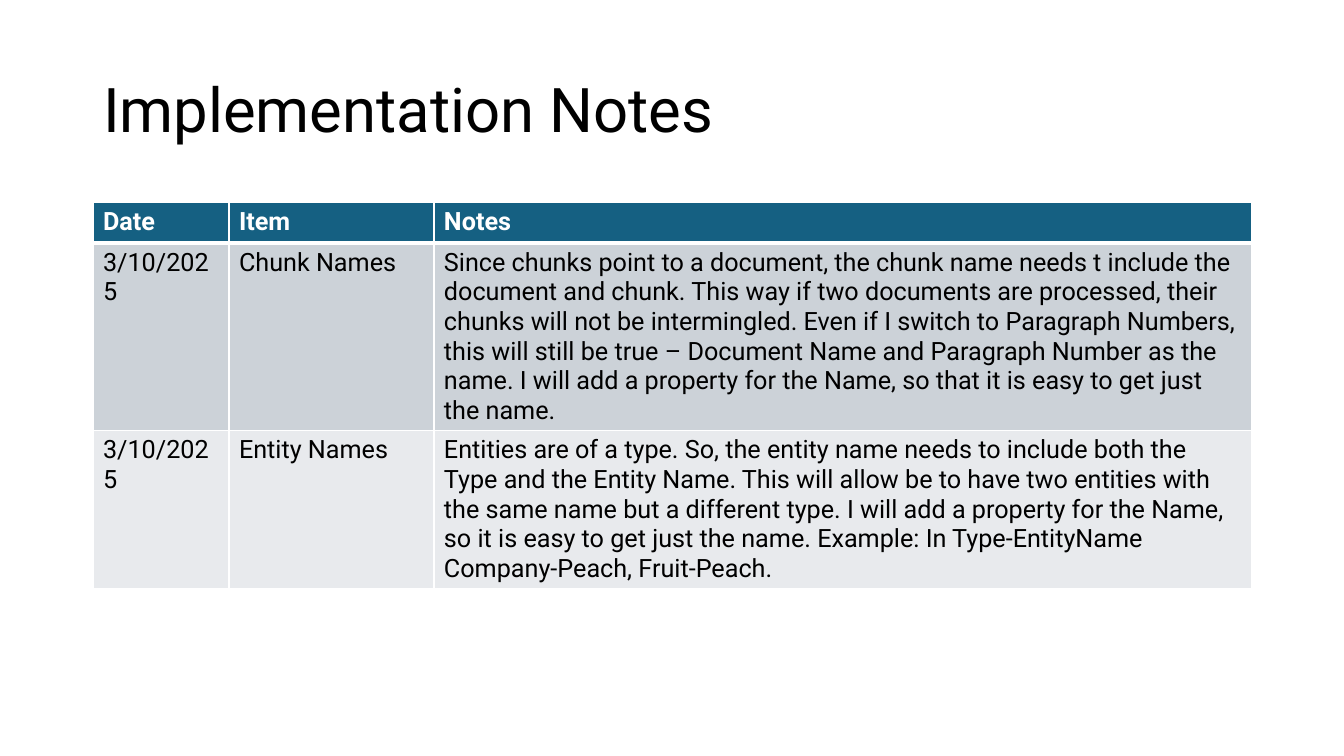
from dataclasses import dataclass

from lxml.etree import SubElement
from pptx import Presentation
from pptx.dml.color import RGBColor
from pptx.enum.text import MSO_ANCHOR, PP_ALIGN
from pptx.oxml.ns import qn
from pptx.util import Emu, Pt

EMU_PER_PX = 914400 / 100.8
FONT = "Roboto"
WHITE, BLACK = "FFFFFF", "000000"
COL_WIDTHS = (136, 205, 818)
ROW_HEIGHT = 41
LEFT, WIDTH = 93, sum(COL_WIDTHS)


@dataclass(frozen=True)
class TableRow:
    cells: tuple[str, str, str]
    fill: str
    color: str = BLACK
    bold: bool = False
    top: int = 1
    bottom: int = 1


ROWS = (
    TableRow(("Date", "Item", "Notes"), "156082", WHITE, bold=True, bottom=3),
    TableRow((
        "3/10/2025",
        "Chunk Names",
        "Since chunks point to a document, the chunk name needs t include the "
        "document and chunk. This way if two documents are processed, their "
        "chunks will not be intermingled. Even if I switch to Paragraph Numbers, "
        "this will still be true – Document Name and Paragraph Number as the "
        "name. I will add a property for the Name, so that it is easy to get "
        "just the name.",
    ), "CCD2D8", top=3),
    TableRow((
        "3/10/2025",
        "Entity Names",
        "Entities are of a type. So, the entity name needs to include both the "
        "Type and the Entity Name. This will allow be to have two entities with "
        "the same name but a different type. I will add a property for the Name, "
        "so it is easy to get just the name. Example: In Type-EntityName "
        "Company-Peach, Fruit-Peach.",
    ), "E8EAED"),
)


def px(n: int) -> Emu:
    return Emu(round(n * EMU_PER_PX))


def rgb(color: str) -> RGBColor:
    return RGBColor.from_string(color)


def set_text(tf, text: str, *, size: int = 18, color: str = BLACK,
             bold: bool = False, spacing: float = 1.0) -> None:
    p = tf.paragraphs[0]
    p.alignment = PP_ALIGN.LEFT
    p.line_spacing = spacing
    r = p.add_run()
    r.text = text
    r.font.name = FONT
    r.font.size = Pt(size)
    r.font.bold = bold
    r.font.color.rgb = rgb(color)


def set_borders(cell, top: int, bottom: int) -> None:
    tc_pr = cell._tc.get_or_add_tcPr()
    for side, width in (("L", 1), ("R", 1), ("T", top), ("B", bottom)):
        ln = SubElement(tc_pr, qn(f"a:ln{side}"), w=str(Pt(width)))
        fill = SubElement(ln, qn("a:solidFill"))
        SubElement(fill, qn("a:srgbClr"), val=WHITE)


def add_title(s, text: str) -> None:
    sp = s.shapes.title
    sp.left, sp.top, sp.width, sp.height = px(LEFT), px(40), px(WIDTH), px(146)
    sp.text_frame.vertical_anchor = MSO_ANCHOR.MIDDLE
    set_text(sp.text_frame, text, size=44, spacing=0.9)


def add_notes_table(s, rows: tuple[TableRow, ...]) -> None:
    frame = s.shapes.add_table(len(rows), len(COL_WIDTHS), px(LEFT), px(202),
                               px(WIDTH), px(ROW_HEIGHT * len(rows)))
    table = frame.table
    for column, width in zip(table.columns, COL_WIDTHS):
        column.width = px(width)
    for table_row, row in zip(table.rows, rows):
        table_row.height = px(ROW_HEIGHT)
        for cell, text in zip(table_row.cells, row.cells):
            set_borders(cell, row.top, row.bottom)
            cell.fill.solid()
            cell.fill.fore_color.rgb = rgb(row.fill)
            set_text(cell.text_frame, text, color=row.color, bold=row.bold)
    frame.height = px(394)


def main() -> None:
    prs = Presentation()
    prs.slide_width, prs.slide_height = px(1344), px(756)
    s = prs.slides.add_slide(prs.slide_layouts.get_by_name("Title Only"))
    s.background.fill.solid()
    s.background.fill.fore_color.rgb = rgb(WHITE)
    add_title(s, "Implementation Notes")
    add_notes_table(s, ROWS)
    prs.save("out.pptx")


if __name__ == "__main__":
    main()
